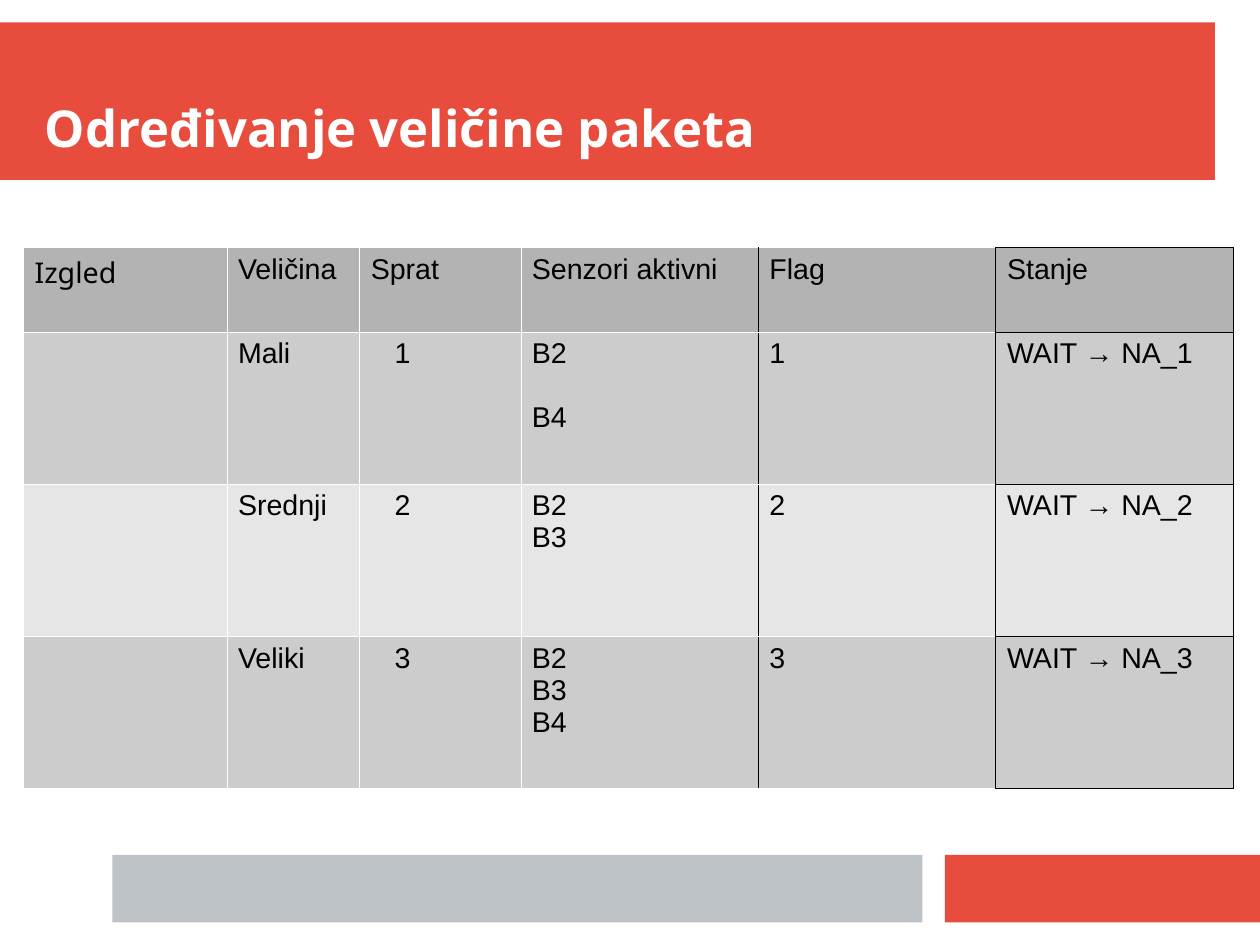
import pptx
import pptx.dml.color
import pptx.enum.shapes
import pptx.enum.text
import pptx.util
from lxml import etree

Cm = pptx.util.Cm
Pt = pptx.util.Pt
RED, GREY, WHITE, BLACK = "E74C3C", "BDC3C7", "FFFFFF", "000000"


def color(value):
    return pptx.dml.color.RGBColor.from_string(value)


def write(para, text, font="Arial", size=18, ink=BLACK, bold=False):
    span = para.add_run()
    span.text = text
    span.font.name = font
    span.font.size = Pt(size)
    span.font.bold = bold
    span.font.color.rgb = color(ink)


# The page is a grid of 28 by 21 one-centimetre units
deck = pptx.Presentation()
deck.slide_width, deck.slide_height = Cm(28), Cm(21)
page = deck.slides.add_slide(deck.slide_layouts[6])

# Title band and the two footer bars
for left, top, width, height, fill in [
    (0, 0.5, 27, 3.5, RED),
    (21, 19, 7, 1.5, RED),
    (2.5, 19, 18, 1.5, GREY),
]:
    bar = page.shapes.add_shape(
        pptx.enum.shapes.MSO_SHAPE.RECTANGLE, Cm(left), Cm(top), Cm(width), Cm(height)
    )
    bar.shadow.inherit = False
    bar.fill.solid()
    bar.fill.fore_color.rgb = color(fill)
    bar.line.fill.background()

# Title
box = page.shapes.add_textbox(Cm(1), Cm(1), Cm(26), Cm(2.5))
frame = box.text_frame
frame.word_wrap = True
frame.vertical_anchor = pptx.enum.text.MSO_ANCHOR.BOTTOM
frame.margin_left = frame.margin_right = frame.margin_top = frame.margin_bottom = 0
write(frame.paragraphs[0], "Određivanje veličine paketa",
      font="Noto Sans", size=32, ink=WHITE, bold=True)

# Package size table: a header and three equal rows
rows = [
    ["Izgled", "Veličina", "Sprat", "Senzori aktivni", "Flag", "Stanje"],
    ["", "Mali", "1", "B2\nB4", "1", "WAIT → NA_1"],
    ["", "Srednji", "2", "B2\nB3", "2", "WAIT → NA_2"],
    ["", "Veliki", "3", "B2\nB3\nB4", "3", "WAIT → NA_3"],
]
row_fills = ["B3B3B3", "CCCCCC", "E6E6E6", "CCCCCC"]
row_heights = [1.88] + [3.38] * 3
column_widths = [4.52, 2.95, 3.58] + [5.28] * 3
FLOOR, SENSORS, STATE = 2, 3, 5
black_sides = {SENSORS: "R", 4: "LR", STATE: "LRTB"}

table = page.shapes.add_table(
    len(rows), len(column_widths), Cm(0.52), Cm(5.5),
    Cm(sum(column_widths)), Cm(sum(row_heights)),
).table
table.first_row = table.horz_banding = False
for column, width in zip(table.columns, column_widths):
    column.width = Cm(width)

for row_index, texts in enumerate(rows):
    table.rows[row_index].height = Cm(row_heights[row_index])
    for column_index, text in enumerate(texts):
        cell = table.cell(row_index, column_index)

        # Hairline white borders, black around the last columns
        for side in "LRTB":
            black = side in black_sides.get(column_index, "")
            border = etree.SubElement(
                cell._tc.get_or_add_tcPr(), pptx.oxml.ns.qn("a:ln" + side),
                w=str(Pt(0.45 if black else 0.06)),
            )
            solid = etree.SubElement(border, pptx.oxml.ns.qn("a:solidFill"))
            etree.SubElement(solid, pptx.oxml.ns.qn("a:srgbClr"),
                             val=BLACK if black else WHITE)
        cell.fill.solid()
        cell.fill.fore_color.rgb = color(row_fills[row_index])

        # Floor numbers are set in from the column heading
        indented = column_index == FLOOR and row_index > 0
        cell.margin_left = Cm(0.78 if indented else 0.25)
        cell.margin_right = Cm(0.25)
        cell.margin_top = cell.margin_bottom = Cm(0.13)

        if not text:
            continue
        for line_index, line in enumerate(text.split("\n")):
            frame = cell.text_frame
            para = frame.add_paragraph() if line_index else frame.paragraphs[0]
            if text == "B2\nB4" and line_index:
                para.space_before = Pt(20)  # leaves the place of B3 open
            write(para, line, font="Noto Sans" if text == "Izgled" else "Arial")

deck.save("out.pptx")
